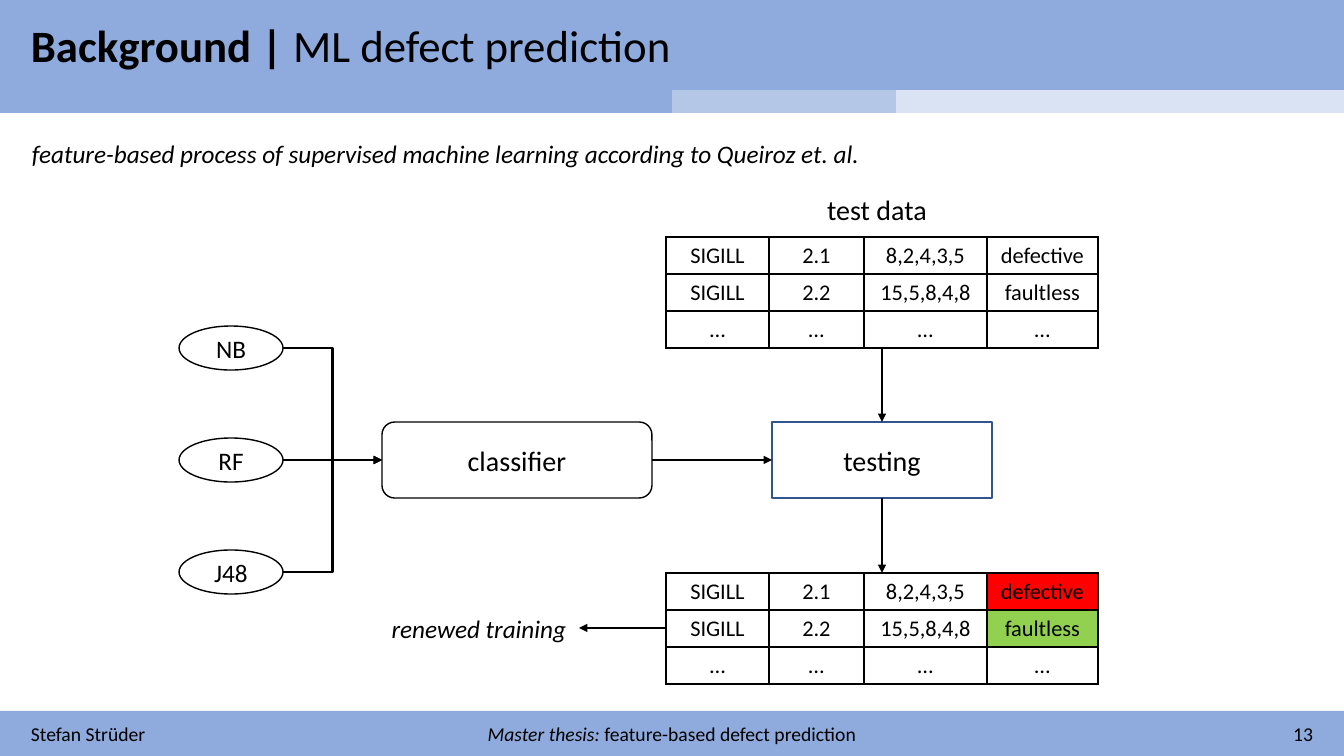
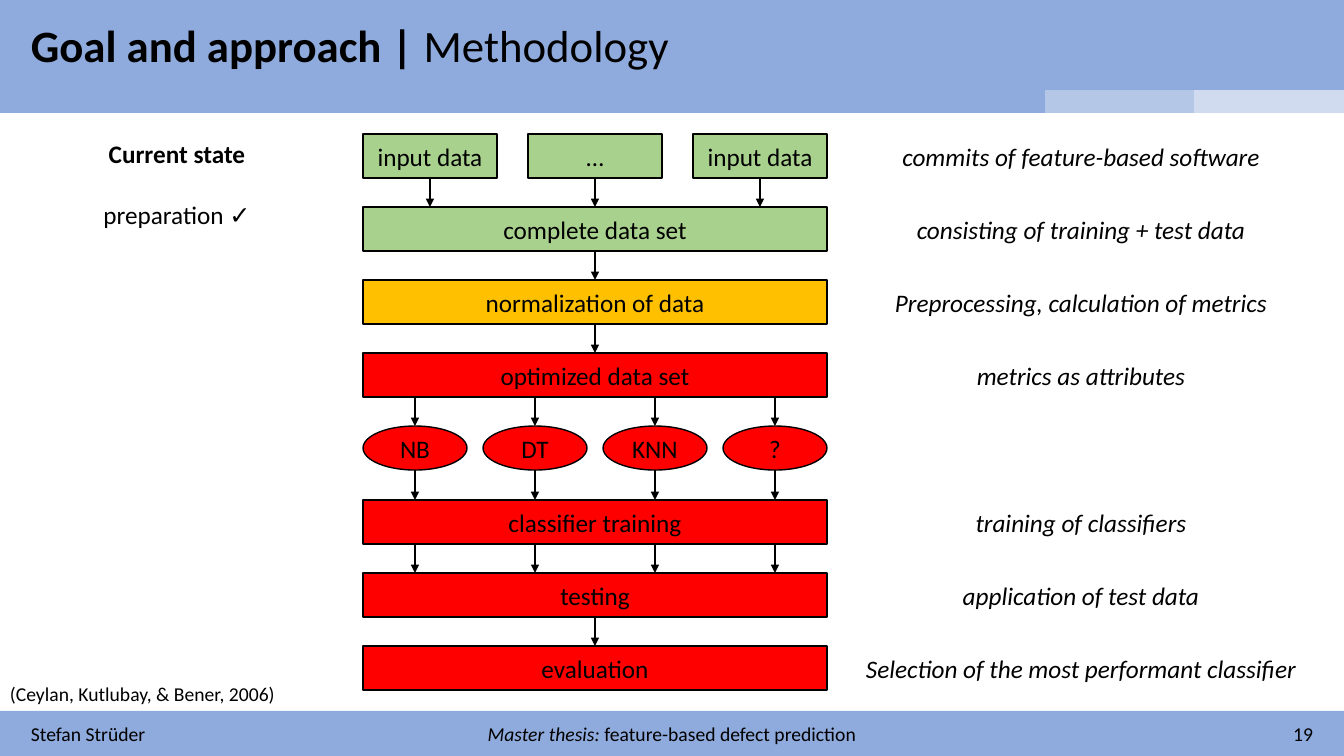
import dataclasses
import typing

import lxml.etree
import pptx
import pptx.dml.color
import pptx.enum.shapes
import pptx.enum.text
import pptx.oxml.ns
import pptx.shapes.autoshape
import pptx.slide
import pptx.table
import pptx.util

SLIDE_WIDTH, SLIDE_HEIGHT = 1344, 756
EMU_PER_PX = 12192000 / SLIDE_WIDTH
FONT = "Calibri"
COLORS = {
    "black": "000000",
    "white": "FFFFFF",
    "band": "8FAADC",
    "next": "B4C7E7",
    "ahead": "DAE3F3",
    "last": "D0DBF0",
    "outline": "325491",
    "done": "A9D18E",
    "ongoing": "FFC000",
    "open": "FF0000",
    "faultless": "92D050",
}
ALIGN = pptx.enum.text.PP_ALIGN
ANCHOR = pptx.enum.text.MSO_ANCHOR
KIND = pptx.enum.shapes.MSO_SHAPE
CONNECTOR = pptx.enum.shapes.MSO_CONNECTOR
TOP, LEFT, BOTTOM, RIGHT = range(4)
SECTION_WIDTHS = (448, 224, 224, 149, 149, 150)
DATA_WIDTHS = (103, 95, 123, 111)
DATA_ROW_HEIGHT = 37
DATA_ROWS = (
    ("SIGILL", "2.1", "8,2,4,3,5", "defective"),
    ("SIGILL", "2.2", "15,5,8,4,8", "faultless"),
    ("…", "…", "…", "…"),
)
ELLIPSE_WIDTH, NODE_HEIGHT = 104, 44
FLOW_LEFT, FLOW_WIDTH = 363, 464

Shape = pptx.shapes.autoshape.Shape
Slide = pptx.slide.Slide


class Box(typing.NamedTuple):
    left: int
    top: int
    width: int
    height: int


class Point(typing.NamedTuple):
    x: int
    y: int


class Joint(typing.NamedTuple):
    shape: Shape
    site: int


@dataclasses.dataclass(frozen=True)
class Span:
    text: str
    bold: bool = False
    italic: bool = False


@dataclasses.dataclass(frozen=True)
class Node:
    text: str
    box: Box
    fill: str | None = "white"
    kind: int = KIND.RECTANGLE
    line: str | None = "black"
    size: int = 18


@dataclasses.dataclass(frozen=True)
class Stage:
    text: str
    level: int
    fill: str
    remark: str


STAGES = (
    Stage("complete data set", 1, "done", "consisting of training + test data"),
    Stage("normalization of data", 2, "ongoing", "Preprocessing, calculation of metrics"),
    Stage("optimized data set", 3, "open", "metrics as attributes"),
    Stage("classifier training", 5, "open", "training of classifiers"),
    Stage("testing", 6, "open", "application of test data"),
    Stage("evaluation", 7, "open", "Selection of the most performant classifier"),
)


def px(length: int) -> pptx.util.Emu:
    return pptx.util.Emu(round(length * EMU_PER_PX))


def rgb(name: str) -> pptx.dml.color.RGBColor:
    return pptx.dml.color.RGBColor.from_string(COLORS[name])


def style_run(run, size: int, bold: bool = False, italic: bool = False) -> None:
    run.font.name = FONT
    run.font.size = pptx.util.Pt(size)
    run.font.bold = bold
    run.font.italic = italic
    run.font.color.rgb = rgb("black")


def add_text(slide: Slide, box: Box, *paragraphs: tuple[Span, ...], size: int = 18,
             align: int = ALIGN.LEFT, anchor: int = ANCHOR.TOP, gap: int = 0) -> None:
    frame = slide.shapes.add_textbox(*map(px, box)).text_frame
    frame.word_wrap = True
    frame.vertical_anchor = anchor
    for index, spans in enumerate(paragraphs):
        paragraph = frame.add_paragraph() if index else frame.paragraphs[0]
        paragraph.alignment = align
        if index and gap:
            paragraph.space_before = pptx.util.Pt(gap)
        for span in spans:
            run = paragraph.add_run()
            run.text = span.text
            style_run(run, size, span.bold, span.italic)


def add_node(slide: Slide, node: Node) -> Shape:
    shape = slide.shapes.add_shape(node.kind, *map(px, node.box))
    shape.shadow.inherit = False
    if node.fill:
        shape.fill.solid()
        shape.fill.fore_color.rgb = rgb(node.fill)
    else:
        shape.fill.background()
    if node.line:
        shape.line.color.rgb = rgb(node.line)
        shape.line.width = pptx.util.Pt(1)
    else:
        shape.line.fill.background()
    if node.text:
        frame = shape.text_frame
        frame.margin_left = frame.margin_right = frame.margin_top = frame.margin_bottom = 0
        frame.vertical_anchor = ANCHOR.MIDDLE
        frame.text = node.text
        frame.paragraphs[0].alignment = ALIGN.CENTER
        style_run(frame.paragraphs[0].runs[0], node.size)
    return shape


def add_arrow(slide: Slide, start: Point, end: Point,
              source: Joint | None = None, target: Joint | None = None) -> None:
    straight = start.x == end.x or start.y == end.y
    kind = CONNECTOR.STRAIGHT if straight else CONNECTOR.ELBOW
    arrow = slide.shapes.add_connector(kind, *map(px, (*start, *end)))
    arrow.line.color.rgb = rgb("black")
    arrow.line.width = pptx.util.Pt(1.5)
    qn = pptx.oxml.ns.qn
    lxml.etree.SubElement(arrow.line._get_or_add_ln(), qn("a:tailEnd"), type="triangle")
    lxml.etree.SubElement(arrow._element.spPr, qn("a:effectLst"))
    if source:
        arrow.begin_connect(*source)
    if target:
        arrow.end_connect(*target)


def middle_joint(shape: Shape, x: int, site: int) -> Joint | None:
    centred = abs(shape.left + shape.width // 2 - px(x)) < px(1)
    return Joint(shape, site) if centred and shape.auto_shape_type == KIND.RECTANGLE else None


def add_drop(slide: Slide, upper: Shape, lower: Shape, x: int) -> None:
    start = Point(x, round((upper.top + upper.height) / EMU_PER_PX))
    end = Point(x, round(lower.top / EMU_PER_PX))
    add_arrow(slide, start, end, middle_joint(upper, x, BOTTOM), middle_joint(lower, x, TOP))


def add_grid(slide: Slide, left: int, top: int, widths: typing.Sequence[int],
             row_height: int, row_count: int) -> pptx.table.Table:
    box = Box(left, top, sum(widths), row_height * row_count)
    grid = slide.shapes.add_table(row_count, len(widths), *map(px, box)).table
    grid.first_row = grid.horz_banding = False
    for column, width in zip(grid.columns, widths):
        column.width = px(width)
    for row in grid.rows:
        row.height = px(row_height)
    return grid


def style_cell(cell, fill: str, border: str | None = None) -> None:
    cell.fill.solid()
    cell.fill.fore_color.rgb = rgb(fill)
    cell.vertical_anchor = ANCHOR.MIDDLE
    qn = pptx.oxml.ns.qn
    properties = cell._tc.get_or_add_tcPr()
    for index, side in enumerate(("lnL", "lnR", "lnT", "lnB")):
        edge = lxml.etree.Element(qn(f"a:{side}"), w=str(pptx.util.Pt(1)))
        if border:
            paint = lxml.etree.SubElement(edge, qn("a:solidFill"))
            lxml.etree.SubElement(paint, qn("a:srgbClr"), val=COLORS[border])
        else:
            lxml.etree.SubElement(edge, qn("a:noFill"))
        properties.insert(index, edge)


def add_data_table(slide: Slide, left: int, top: int, marks: dict[str, str]) -> None:
    grid = add_grid(slide, left, top, DATA_WIDTHS, DATA_ROW_HEIGHT, len(DATA_ROWS))
    for row, values in enumerate(DATA_ROWS):
        for column, value in enumerate(values):
            cell = grid.cell(row, column)
            cell.margin_left = cell.margin_right = cell.margin_top = cell.margin_bottom = px(4)
            cell.text_frame.text = value
            paragraph = cell.text_frame.paragraphs[0]
            paragraph.alignment = ALIGN.CENTER
            style_run(paragraph.runs[0], 16)
            style_cell(cell, marks.get(value, "white"), "black")


def add_progress(slide: Slide, fills: typing.Sequence[str]) -> None:
    grid = add_grid(slide, 0, 90, SECTION_WIDTHS, 23, 1)
    for column, fill in enumerate(fills):
        cell = grid.cell(0, column)
        cell.margin_top = cell.margin_bottom = 0
        paragraph = cell.text_frame.paragraphs[0]
        lxml.etree.SubElement(paragraph._p, pptx.oxml.ns.qn("a:endParaRPr"), sz="800")
        style_cell(cell, fill)


def add_frame(deck, section: str, topic: str, number: int, fills: typing.Sequence[str]) -> Slide:
    slide = deck.slides.add_slide(deck.slide_layouts[6])
    for top, height in ((0, 90), (711, 45)):
        add_node(slide, Node("", Box(0, top, SLIDE_WIDTH, height), "band", line=None))
    add_progress(slide, fills)
    add_text(slide, Box(21, 13, 1300, 64), (Span(f"{section} | ", bold=True), Span(topic)), size=32)
    footers = (
        (21, ALIGN.LEFT, (Span("Stefan Strüder"),)),
        (466, ALIGN.CENTER, (Span("Master thesis: ", italic=True),
                             Span("feature-based defect prediction"))),
        (911, ALIGN.RIGHT, (Span(str(number)),)),
    )
    for left, align, spans in footers:
        add_text(slide, Box(left, 717, 412, 34), spans, size=14, align=align, anchor=ANCHOR.MIDDLE)
    return slide


def spread(count: int, width: int) -> list[int]:
    return [FLOW_LEFT + index * (FLOW_WIDTH - width) // (count - 1) for index in range(count)]


def level_top(level: int) -> int:
    return round(133.6 + 73.2 * level)


def build_prediction(deck) -> None:
    slide = add_frame(deck, "Background", "ML defect prediction", 13,
                      ("band", "band", "next", "ahead", "ahead", "ahead"))
    add_text(slide, Box(22, 133, 900, 40), (Span(
        "feature-based process of supervised machine learning according to Queiroz et. al.",
        italic=True),))
    add_text(slide, Box(807, 188, 140, 44), (Span("test data"),), size=20, align=ALIGN.CENTER)
    add_text(slide, Box(369, 608, 220, 40), (Span("renewed training", italic=True),),
             align=ALIGN.CENTER)
    classifier = add_node(slide, Node("classifier", Box(382, 422, 270, 76),
                                      kind=KIND.ROUNDED_RECTANGLE, size=20))
    testing = add_node(slide, Node("testing", Box(772, 422, 220, 76), None,
                                   line="outline", size=20))
    for index, learner in enumerate(("NB", "RF", "J48")):
        top = 326 + 112 * index
        add_node(slide, Node(learner, Box(179, top, ELLIPSE_WIDTH, NODE_HEIGHT), kind=KIND.OVAL))
        add_arrow(slide, Point(283, top + NODE_HEIGHT // 2), Point(382, 460))
    add_data_table(slide, 666, 237, {})
    add_data_table(slide, 666, 573, {"defective": "open", "faultless": "faultless"})
    add_arrow(slide, Point(652, 460), Point(772, 460), Joint(classifier, RIGHT), Joint(testing, LEFT))
    add_arrow(slide, Point(882, 348), Point(882, 422), target=Joint(testing, TOP))
    add_arrow(slide, Point(882, 498), Point(882, 573), source=Joint(testing, BOTTOM))
    add_arrow(slide, Point(666, 628), Point(579, 628))


def build_methodology(deck) -> None:
    slide = add_frame(deck, "Goal and approach", "Methodology", 19,
                      ("band", "band", "band", "band", "next", "last"))
    add_text(slide, Box(0, 677, 340, 34), (Span("(Ceylan, Kutlubay, & Bener, 2006)"),),
             size=14)
    add_text(slide, Box(67, 133, 220, 102), (Span("Current state", bold=True),),
             (Span("preparation ✓"),), align=ALIGN.CENTER, gap=22)

    remarks = {0: "commits of feature-based software"}
    remarks.update({stage.level: stage.remark for stage in STAGES})
    for level, remark in remarks.items():
        add_text(slide, Box(831, level_top(level) + 2, 500, 40), (Span(remark, italic=True),),
                 align=ALIGN.CENTER)

    stages = {
        stage.level: add_node(slide, Node(
            stage.text, Box(FLOW_LEFT, level_top(stage.level), FLOW_WIDTH, NODE_HEIGHT), stage.fill))
        for stage in STAGES
    }
    input_width = 134
    for left, text in zip(spread(3, input_width), ("input data", "…", "input data")):
        source = add_node(slide, Node(text, Box(left, level_top(0), input_width, NODE_HEIGHT), "done"))
        add_drop(slide, source, stages[1], left + input_width // 2)
    for left, text in zip(spread(4, ELLIPSE_WIDTH), ("NB", "DT", "KNN", "?")):
        learner = add_node(slide, Node(text, Box(left, level_top(4), ELLIPSE_WIDTH, NODE_HEIGHT),
                                       "open", KIND.OVAL))
        for upper, lower in ((stages[3], learner), (learner, stages[5]), (stages[5], stages[6])):
            add_drop(slide, upper, lower, left + ELLIPSE_WIDTH // 2)
    for level in (1, 2, 6):
        add_drop(slide, stages[level], stages[level + 1], FLOW_LEFT + FLOW_WIDTH // 2)


def main() -> None:
    deck = pptx.Presentation()
    deck.slide_width, deck.slide_height = px(SLIDE_WIDTH), px(SLIDE_HEIGHT)
    build_prediction(deck)
    build_methodology(deck)
    deck.save("out.pptx")


if __name__ == "__main__":
    main()
